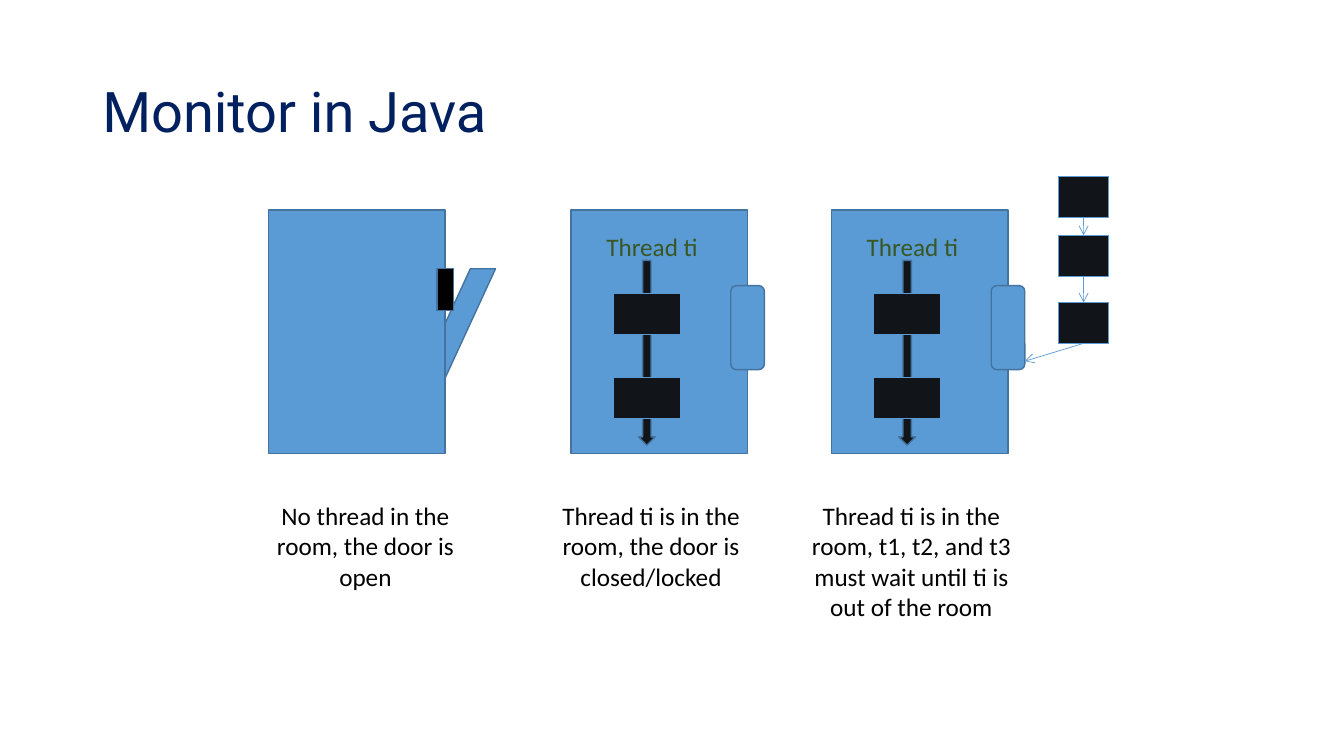
from dataclasses import dataclass

from lxml import etree
from pptx import Presentation
from pptx import util as u
from pptx.dml.color import RGBColor
from pptx.enum import shapes, text
from pptx.oxml.ns import qn

PX = 9525
BLUE, EDGE, DARK, BLACK = "5B9BD5", "43739E", "11151A", "000000"
NAVY, GREEN = "002060", "385723"
ROOM_TOP, ROOM_WIDTH, ROOM_HEIGHT = 200, 168, 232
STEP_TOPS = (280, 360)
BOX_HEIGHT = 39
KIND = shapes.MSO_SHAPE


@dataclass(frozen=True)
class Area:
    left: int
    top: int
    width: int
    height: int

    def emu(self) -> list[int]:
        return [v * PX for v in (self.left, self.top, self.width, self.height)]


@dataclass(frozen=True)
class Room:
    left: int
    caption_left: int
    caption: str
    caption_height: int
    locked: bool


ROOMS = [
    Room(256, 240, "No thread in the room, the door is open", 97, False),
    Room(544, 512, "Thread ti is in the room, the door is closed/locked", 97, True),
    Room(792, 760, "Thread ti is in the room, t1, t2, and t3 must wait until ti is "
         "out of the room", 126, True),
]
QUEUE_LEFT, QUEUE_WIDTH = 1008, 48
QUEUE_TOPS = (168, 224, 288)
DOOR_ENTRY = (976, 344)


def rgb(value: str) -> RGBColor:
    return RGBColor.from_string(value)


def add_label(slide, area: Area, words: str, color: str, size: int = 18,
              font: str = "Calibri", align=text.PP_ALIGN.LEFT, wrap: bool = True):
    frame = slide.shapes.add_textbox(*area.emu()).text_frame
    frame.word_wrap = wrap
    paragraph = frame.paragraphs[0]
    paragraph.alignment = align
    run = paragraph.add_run()
    run.text = words
    run.font.size = u.Pt(size)
    run.font.name = font
    run.font.color.rgb = rgb(color)
    return frame


def add_block(slide, kind, area: Area, fill: str = BLUE, edge: str = EDGE,
              weight: float = 1) -> None:
    block = slide.shapes.add_shape(kind, *area.emu())
    block.shadow.inherit = False
    block.fill.solid()
    block.fill.fore_color.rgb = rgb(fill)
    block.line.color.rgb = rgb(edge)
    block.line.width = u.Pt(weight)


def add_dark_box(slide, left: int, top: int, width: int) -> None:
    add_block(slide, KIND.RECTANGLE, Area(left, top, width, BOX_HEIGHT),
              DARK, BLUE, 0.75)


def add_arrow(slide, start: tuple[int, int], end: tuple[int, int]) -> None:
    arrow = slide.shapes.add_connector(shapes.MSO_CONNECTOR.STRAIGHT,
                                       *[v * PX for v in (*start, *end)])
    arrow.line.color.rgb = rgb(BLUE)
    arrow.line.width = u.Pt(0.5)
    properties = arrow._element.spPr
    etree.SubElement(properties.find(qn("a:ln")), qn("a:tailEnd"), type="arrow")
    etree.SubElement(properties, qn("a:effectLst"))


def add_open_door(slide, room: Room) -> None:
    right = room.left + ROOM_WIDTH
    add_block(slide, KIND.DIAGONAL_STRIPE, Area(right, 256, 48, 104))
    add_block(slide, KIND.RECTANGLE, Area(right - 8, 256, 16, 40), BLACK)


def add_running_thread(slide, room: Room) -> None:
    """Draw the locked door and the thread with its two operations."""
    add_block(slide, KIND.DOWN_ARROW, Area(room.left + 64, 248, 16, 176), DARK)
    add_block(slide, KIND.ROUNDED_RECTANGLE,
              Area(room.left + ROOM_WIDTH - 16, 272, 32, 80))
    add_label(slide, Area(room.left + 24, 216, 109, 38), "Thread ti", GREEN,
              wrap=False)
    for top in STEP_TOPS:
        add_dark_box(slide, room.left + 40, top, 64)


def add_room(slide, room: Room) -> None:
    add_block(slide, KIND.RECTANGLE,
              Area(room.left, ROOM_TOP, ROOM_WIDTH, ROOM_HEIGHT))
    if room.locked:
        add_running_thread(slide, room)
    else:
        add_open_door(slide, room)
    add_label(slide, Area(room.caption_left, 472, 216, room.caption_height),
              room.caption, BLACK, align=text.PP_ALIGN.CENTER)


def add_queue(slide) -> None:
    center = QUEUE_LEFT + QUEUE_WIDTH // 2
    targets = [(center, top) for top in QUEUE_TOPS[1:]] + [DOOR_ENTRY]
    for top, target in zip(QUEUE_TOPS, targets):
        add_dark_box(slide, QUEUE_LEFT, top, QUEUE_WIDTH)
        add_arrow(slide, (center, top + BOX_HEIGHT), target)


def main() -> None:
    deck = Presentation()
    deck.slide_width, deck.slide_height = 1280 * PX, 720 * PX
    slide = deck.slides.add_slide(deck.slide_layouts[6])
    heading = add_label(slide, Area(88, 39, 1104, 139), "Monitor in Java", NAVY,
                        size=40, font="Roboto")
    heading.vertical_anchor = text.MSO_ANCHOR.MIDDLE
    heading.paragraphs[0].line_spacing = 0.9
    for room in ROOMS:
        add_room(slide, room)
    add_queue(slide)
    deck.save("out.pptx")


if __name__ == "__main__":
    main()
